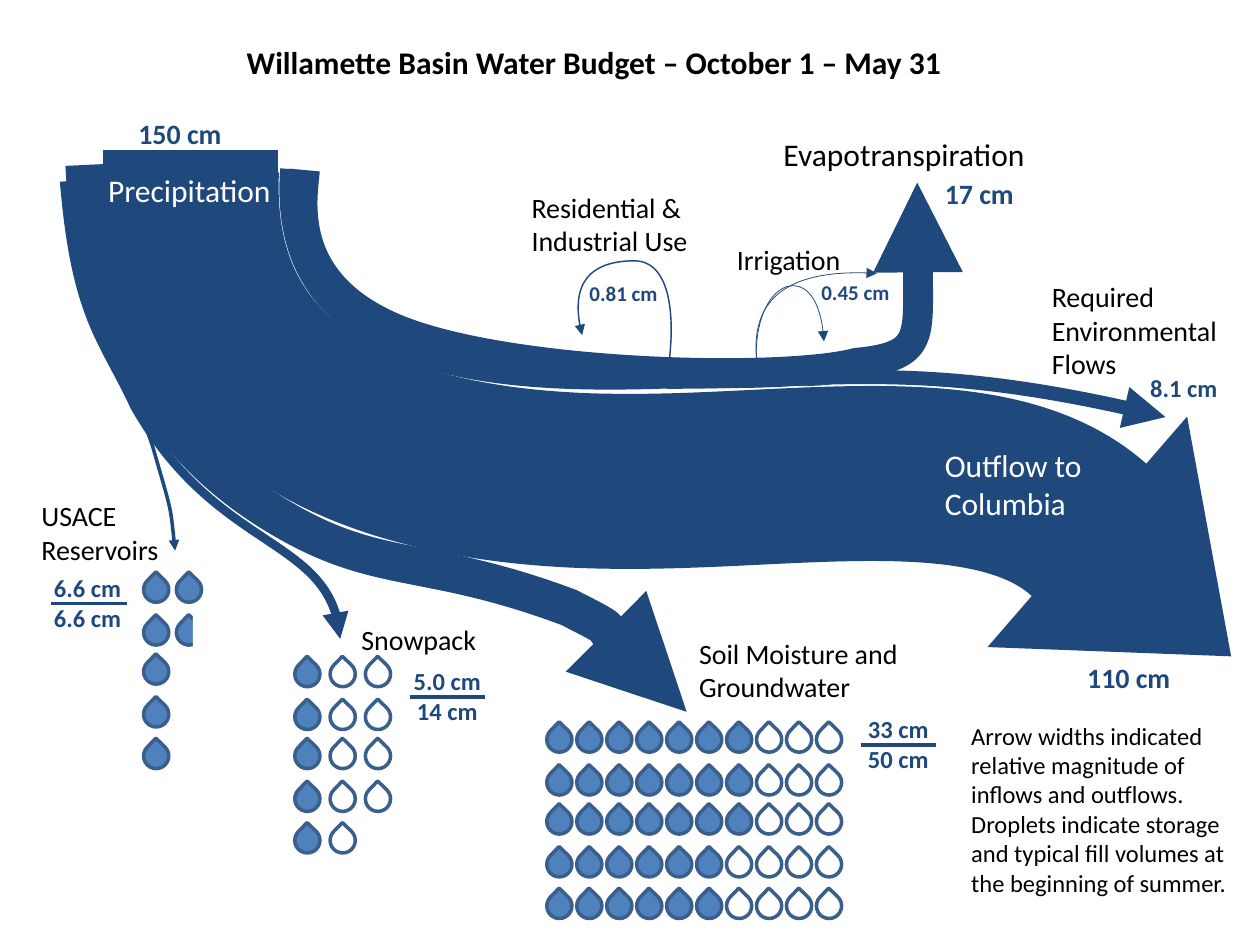
from lxml.etree import SubElement
from pptx import Presentation
from pptx.dml.color import RGBColor
from pptx.enum.shapes import MSO_CONNECTOR, MSO_SHAPE
from pptx.enum.text import MSO_AUTO_SIZE, PP_ALIGN
from pptx.oxml.ns import qn
from pptx.util import Cm, Pt

NAVY, DROP, RIM = "1F497D", "4F81BD", "3A5F8C"
WHITE, BLACK = "FFFFFF", "000000"
DROP_SIZE = 0.2
ROW_OFFSETS = (0, 0.34, 0.65, 0.99, 1.32)

FLOWS = [
    (100, False, (1.52, 1.34), [
        ((1.42, 3.53), (3.65, 3.82), (4.95, 3.82)),
        ((6.36, 3.83), (7.91, 3.51), (8.67, 4.23))]),
    (17.1, True, (2.42, 1.35), [
        ((2.4, 1.58), (2.26, 2.27), (3.19, 2.63)),
        ((4.13, 2.99), (6.24, 3.03), (6.8, 2.88)),
        ((7.35, 2.83), (7.29, 2.52), (7.28, 1.45))]),
    (8, True, (2.28, 1.34), [
        ((2.15, 2.99), (3.96, 3.07), (5.25, 3.03)),
        ((6.52, 3.04), (7.29, 2.83), (9.25, 3.31))]),
    (0.45, True, (6.58, 3.05), [
        ((6.24, 3.08), (6, 3.07), (6, 2.76)),
        ((6, 2.45), (6.17, 2.12), (6.96, 2.17))]),
    (0.81, True, (5.31, 2.87), [
        ((5.35, 2.56), (5.34, 2.08), (5.04, 2.07)),
        ((4.75, 2.07), (4.5, 2.2), (4.62, 2.66))]),
    (2, True, (0.53, 1.46), [
        ((0.61, 2.48), (1.08, 3.09), (1.22, 3.57)),
        ((1.36, 4.06), (1.35, 3.99), (1.39, 4.37))]),
    (21.7, True, (0.67, 1.31), [
        ((0.74, 2.87), (1.49, 3.69), (2.26, 4.13)),
        ((3.02, 4.57), (3.38, 4.4), (4.51, 4.82)),
        ((4.95, 5.04), (5.36, 5.54), (5.45, 5.65))]),
    (0.45, True, (6.01, 2.96), [
        ((5.97, 2.58), (6.09, 2.34), (6.23, 2.28)),
        ((6.37, 2.23), (6.52, 2.35), (6.54, 2.71))]),
    (5, True, (0.51, 1.44), [
        ((0.6, 2.53), (0.82, 2.69), (1.07, 3.23)),
        ((1.68, 4.3), (2.65, 4.27), (2.7, 5.07))]),
]

NAMES = [
    ("Required Environmental Flows", (8.25, 2.17, 1.67, 0.91), 16, BLACK, True),
    ("Evapotranspiration", (6.12, 1.02, 2.14, 0.4), 18, BLACK, False),
    ("Residential & Industrial Use", (4.12, 1.46, 1.72, 0.64), 16, BLACK, True),
    ("Irrigation", (5.75, 1.88, 1.04, 0.37), 16, BLACK, False),
    ("Precipitation", (0.76, 1.31, 1.51, 0.4), 18, WHITE, False),
    ("Outflow to Columbia", (7.4, 3.49, 1.4, 0.71), 18, WHITE, True),
]

AMOUNTS = [
    ("150 cm", (1, 0.88, 0.87, 0.37), 16),
    ("110 cm", (8.53, 5.19, 0.87, 0.37), 16),
    ("17 cm", (7.4, 1.35, 0.76, 0.37), 16),
    ("0.45 cm", (6.42, 2.17, 0.75, 0.3), 12),
    ("0.81 cm", (4.58, 2.18, 0.75, 0.3), 12),
    ("8.1 cm", (9.03, 2.91, 0.74, 0.34), 14),
]


def scaled(value):
    """Turn a layout unit of 2.54 cm into a length."""
    return Cm(value * 2.54)


def color(value):
    """Return the colour for a hex string."""
    return RGBColor.from_string(value)


def add_text(slide, text, box, size, hue=BLACK, wrap=True, bold=False, align=PP_ALIGN.LEFT):
    """Add a text box with one paragraph for each line of text."""
    frame = slide.shapes.add_textbox(*map(scaled, box)).text_frame
    frame.word_wrap = wrap
    frame.auto_size = MSO_AUTO_SIZE.SHAPE_TO_FIT_TEXT
    frame.text = text
    for paragraph in frame.paragraphs:
        paragraph.alignment = align
        paragraph.font.name = "Calibri"
        paragraph.font.size = Pt(size)
        paragraph.font.bold = bold
        paragraph.font.color.rgb = color(hue)


def add_solid(shapes, kind, box, fill, rotation=0, rim=None):
    """Add a filled preset shape, with a rim if a colour is given."""
    shape = shapes.add_shape(kind, *map(scaled, box))
    shape.shadow.inherit = False
    shape.rotation = rotation
    shape.fill.solid()
    shape.fill.fore_color.rgb = color(fill)
    if rim:
        shape.line.color.rgb = color(rim)
        shape.line.width = Pt(2)
    else:
        shape.line.fill.background()


def add_line(slide, start, end, width):
    """Add a straight navy line."""
    line = slide.shapes.add_connector(MSO_CONNECTOR.STRAIGHT, *map(scaled, start + end))
    line.line.color.rgb = color(NAVY)
    line.line.width = Pt(width)
    SubElement(line._element.spPr, qn("a:effectLst"))


def add_flow(slide, width, arrow, start, curves):
    """Add a curved flow through the end points of its Bezier segments."""
    builder = slide.shapes.build_freeform(*map(scaled, start))
    builder.add_line_segments([tuple(map(scaled, curve[-1])) for curve in curves], close=False)
    shape = builder.convert_to_shape()
    shape.shadow.inherit = False
    shape.fill.background()
    shape.line.color.rgb = color(NAVY)
    shape.line.width = Pt(width)
    outline = next(shape._element.iter(qn("a:path")))
    for segment, curve in zip(outline.findall(qn("a:lnTo")), curves):
        bezier = SubElement(outline, qn("a:cubicBezTo"))
        for x, y in curve:
            SubElement(bezier, qn("a:pt"), x=str(scaled(x) - shape.left),
                       y=str(scaled(y) - shape.top))
        outline.remove(segment)
    if arrow:
        SubElement(shape.line._get_or_add_ln(), qn("a:tailEnd"), type="triangle")


def add_droplets(slide, left, top, pitch, rows, half_last=None):
    """Add a group of droplet rows, each given as filled and total counts."""
    group = slide.shapes.add_group_shape()
    for offset, (filled, total) in zip(ROW_OFFSETS, rows):
        for column in range(total):
            box = (left + column * pitch, top + offset, DROP_SIZE, DROP_SIZE)
            add_solid(group.shapes, MSO_SHAPE.TEAR, box,
                      DROP if column < filled else WHITE, 314.1, RIM)
    if half_last:
        x, y = half_last
        add_solid(group.shapes, MSO_SHAPE.RECTANGLE, (left + x, top + y, 0.22, 0.31), WHITE)


def add_ratio(slide, left, top, width, stored, capacity, align=PP_ALIGN.CENTER):
    """Add the stored amount over the capacity with a bar between them."""
    add_text(slide, f"{stored}\n{capacity}", (left, top, width, 0.57), 14, NAVY,
             bold=True, align=align)
    start = left + width / 2 - 0.3
    add_line(slide, (start, top + 0.29), (start + 0.6, top + 0.29), 2.25)


def add_reservoirs(slide, left, top):
    """Add the reservoir storage region."""
    add_text(slide, "USACE\nReservoirs", (left, top, 1.19, 0.64), 16)
    add_droplets(slide, left + 0.91, top + 0.67, 0.26, [(2, 2)] * 2 + [(1, 1)] * 3, (0.39, 0.29))
    add_ratio(slide, left + 0.1, top + 0.59, 0.75, "6.6 cm", "6.6 cm", PP_ALIGN.LEFT)


def add_snowpack(slide, left, top):
    """Add the snowpack storage region."""
    add_text(slide, "Snowpack", (left + 0.43, top, 1.12, 0.37), 16, wrap=False)
    add_droplets(slide, left, top + 0.36, 0.28, [(1, 3)] * 4 + [(1, 2)])
    add_ratio(slide, left + 0.74, top + 0.35, 0.94, "5.0 cm", "14 cm")


def add_groundwater(slide, left, top):
    """Add the soil moisture and groundwater storage region."""
    add_text(slide, "Soil Moisture and Groundwater", (left + 1.11, top, 1.94, 0.64), 16)
    add_droplets(slide, left, top + 0.77, 2.14 / 9, [(7, 10)] * 3 + [(6, 10)] * 2)
    add_ratio(slide, left + 2.32, top + 0.62, 0.94, "33 cm", "50 cm")


def add_flows(slide):
    """Add the inflow, the outflow and all branches."""
    for flow in FLOWS:
        add_flow(slide, *flow)
    add_solid(slide.shapes, MSO_SHAPE.ISOSCELES_TRIANGLE, (7.99, 3.96, 2.42, 1.51), NAVY, 130.9)
    add_line(slide, (1.51, 1.19), (1.51, 1.48), 100)


def add_labels(slide):
    """Add the title, the flow names and amounts, and the reading note."""
    add_text(slide, "Willamette Basin Water Budget – October 1 – May 31",
             (1.86, 0.29, 5.91, 0.4), 18, wrap=False, bold=True)
    for name in NAMES:
        add_text(slide, *name)
    for text, box, size in AMOUNTS:
        add_text(slide, text, box, size, NAVY, wrap=False, bold=True)
    add_text(slide, "Arrow widths indicated relative magnitude of inflows and outflows. "
             "Droplets indicate storage and typical fill volumes at the beginning of summer.",
             (7.61, 5.67, 2.31, 1.51), 14)


def main():
    """Build the water budget slide."""
    presentation = Presentation()
    presentation.slide_width, presentation.slide_height = Cm(25.4), Cm(19.05)
    slide = presentation.slides.add_slide(presentation.slide_layouts[6])
    add_flows(slide)
    add_reservoirs(slide, 0.23, 3.91)
    add_snowpack(slide, 2.34, 4.89)
    add_groundwater(slide, 4.34, 5)
    add_labels(slide)
    presentation.save("out.pptx")


if __name__ == "__main__":
    main()
